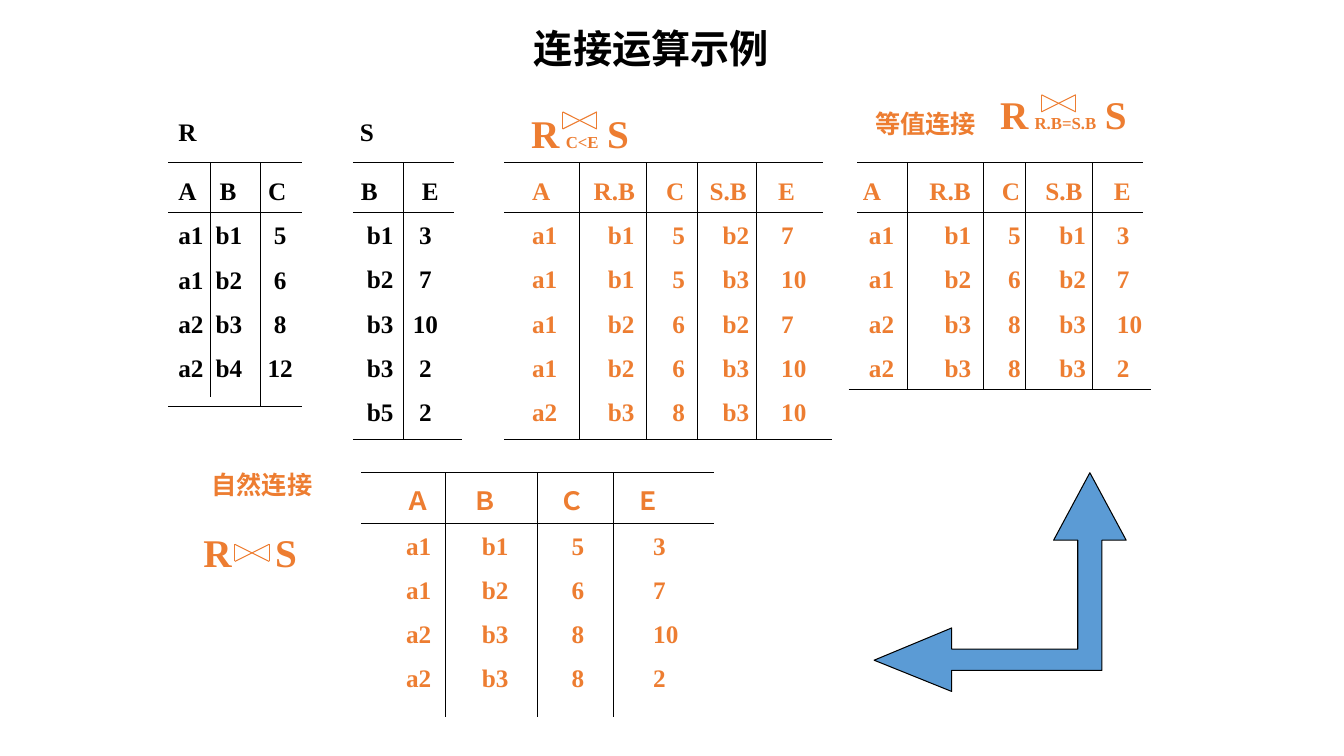
from dataclasses import dataclass

from lxml.etree import SubElement
from pptx import Presentation
from pptx.dml.color import RGBColor as Rgb
from pptx.enum.shapes import MSO_CONNECTOR as Connector
from pptx.enum.text import PP_ALIGN as Align
from pptx.oxml.ns import qn
from pptx.util import Inches, Pt


@dataclass(frozen=True)
class Theme:
    font: str = "Times New Roman"
    black: str = "000000"
    orange: str = "ED7D31"
    blue: str = "5B9BD5"
    title: int = 28
    body: int = 18
    subscript: int = 12
    gap: int = 24
    rule: float = 0.75
    row_space: int = 10


THEME = Theme()

# Content: texts as (words, left, top, width, height, size, colour, alignment)
LABELS = [
    ("连接运算示例", 1.92, 0.19, 9.08, 0.57, THEME.title, THEME.black, Align.CENTER),
    ("R", 1.67, 1.11, 0.58, 0.4, THEME.body, THEME.black, Align.LEFT),
    ("S", 3.47, 1.11, 0.33, 0.4, THEME.body, THEME.black, Align.LEFT),
    ("等值连接", 8.58, 1.03, 2.08, 0.4, THEME.body, THEME.orange, Align.LEFT),
    ("自然连接", 2, 4.61, 1.33, 0.4, THEME.body, THEME.orange, Align.LEFT),
]

# Formulas: (condition, left, top, width, wrap, bowtie left, bowtie top)
FORMULAS = [
    ("C<E", 5.17, 1.04, 2.42, True, 5.58, 1.11),
    ("R.B=S.B", 9.82, 0.85, 1.46, False, 10.33, 0.94),
    ("", 1.92, 5.19, 1.14, False, 2.33, 5.4),
]
FORMULA_HEIGHT, FORMULA_TAB = 0.57, 0.71
BOWTIE_WIDTH, BOWTIE_HEIGHT = 0.34, 0.17

# Relations: head and foot rules and dividers are in grid columns, a divider
# being (column, bottom); box is (left, width, height); header_x and body_x are
# the text starts in inches, or the centre of the last column where tail is "ctr".
GRID = 12  # grid columns per inch
RELATIONS = [
    dict(colour=THEME.black, top=1.61, bottom=4.03, head=(20, 36), foot=(20, 36),
         dividers=[(25, 3.94), (31, 4.03)], box=(1.67, 1.48, 2.21), tail="ctr",
         header_x=(1.77, 2.18, 2.75), body_x=(1.77, 2.14, 2.78),
         rows=["A B C", "a1 b1 5", "a1 b2 6", "a2 b3 8", "a2 b4 12"]),
    dict(colour=THEME.black, top=1.61, bottom=4.36, head=(42, 54), foot=(42, 55),
         dividers=[(48, 4.36)], box=(3.48, 1.08, 2.66), tail="ctr",
         header_x=(3.58, 4.27), body_x=(3.64, 4.22),
         rows=["B E", "b1 3", "b2 7", "b3 10", "b3 2", "b5 2"]),
    dict(colour=THEME.orange, top=1.61, bottom=4.36, head=(60, 98), foot=(60, 99),
         dividers=[(x, 4.36) for x in (69, 77, 83, 90)], box=(5, 3.33, 2.66), tail="l",
         header_x=(5.28, 5.89, 6.61, 7.04, 7.72), body_x=(5.28, 6.03, 6.67, 7.17, 7.75),
         rows=["A R.B C S.B E", "a1 b1 5 b2 7", "a1 b1 5 b3 10",
               "a1 b2 6 b2 7", "a1 b2 6 b3 10", "a2 b3 8 b3 10"]),
    dict(colour=THEME.orange, top=1.61, bottom=3.86, head=(102, 136), foot=(101, 137),
         dividers=[(x, 3.86) for x in (108, 117, 122, 130)], box=(8.33, 3.33, 2.66), tail="l",
         header_x=(8.56, 9.22, 9.94, 10.37, 11.05), body_x=(8.62, 9.37, 10, 10.51, 11.08),
         rows=["A R.B C S.B E", "a1 b1 5 b1 3", "a1 b2 6 b2 7",
               "a2 b3 8 b3 10", "a2 b3 8 b3 2"]),
    dict(colour=THEME.orange, top=4.69, bottom=7.11, head=(43, 85), foot=None,
         dividers=[(x, 7.11) for x in (53, 64, 73)], box=(3.75, 3.92, 2.21), tail="l",
         header_x=(4.02, 4.69, 5.55, 6.3), body_x=(4.03, 4.78, 5.67, 6.48),
         rows=["Ａ Ｂ Ｃ Ｅ", "a1 b1 5 3", "a1 b2 6 7", "a2 b3 8 10", "a2 b3 8 2"]),
]
HEADER_HEIGHT, TEXT_DROP, INSET = 0.5, 0.08, 0.1

# Two-headed elbow arrow
ARROW = [(10.81, 4.69), (10.45, 5.36), (10.69, 5.36), (10.69, 6.44), (9.44, 6.44),
         (9.44, 6.23), (8.67, 6.55), (9.44, 6.86), (9.44, 6.65), (10.93, 6.65),
         (10.93, 5.36), (11.17, 5.36)]


def style(font, size, colour):
    font.name, font.size, font.bold = THEME.font, Pt(size), True
    font.color.rgb = Rgb.from_string(colour)


def add_box(page, left, top, width, height, wrap=True):
    box = page.shapes.add_textbox(Inches(left), Inches(top), Inches(width), Inches(height))
    box.text_frame.word_wrap = wrap
    return box.text_frame


def add_tabs(para, stops):
    tabs = SubElement(para._p.get_or_add_pPr(), qn("a:tabLst"))
    for position, align in stops:
        SubElement(tabs, qn("a:tab"), pos=str(Inches(position)), algn=align)


def add_rule(shapes, ends, colour):
    line = shapes.add_connector(Connector.STRAIGHT, *map(Inches, ends))
    line.line.color.rgb = Rgb.from_string(colour)
    line.line.width = Pt(THEME.rule)
    SubElement(line._element.spPr, qn("a:effectLst"))


def add_label(page, words, left, top, width, height, size, colour, align):
    frame = add_box(page, left, top, width, height)
    frame.text = words
    para = frame.paragraphs[0]
    para.alignment = align
    style(para.runs[0].font, size, colour)


def add_bowtie(page, left, top):
    group = page.shapes.add_group_shape()
    right, bottom = left + BOWTIE_WIDTH, top + BOWTIE_HEIGHT
    for ends in [(left, top, left, bottom), (right, top, right, bottom),
                 (left, top, right, bottom), (left, bottom, right, top)]:
        add_rule(group.shapes, ends, THEME.orange)


def add_formula(page, condition, left, top, width, wrap, tie_left, tie_top):
    para = add_box(page, left, top, width, FORMULA_HEIGHT, wrap).paragraphs[0]
    if condition:
        middle = [(" ", THEME.body), (condition, THEME.subscript), (" ", THEME.gap)]
    else:
        middle = [("\t", THEME.body)]
        add_tabs(para, [(FORMULA_TAB, "l")])
    for words, size in [("R", THEME.title), *middle, ("S", THEME.title)]:
        span = para.add_run()
        span.text = words
        style(span.font, size, THEME.orange)
    add_bowtie(page, tie_left, tie_top)


def add_relation(page, colour, top, bottom, head, foot, dividers, box, tail,
                 header_x, body_x, rows):
    # Rules
    rules = [(head, top), (head, top + HEADER_HEIGHT)] + ([(foot, bottom)] if foot else [])
    for (start, end), y in rules:
        add_rule(page.shapes, (start / GRID, y, end / GRID, y), THEME.black)
    for column, end in dividers:
        add_rule(page.shapes, (column / GRID, top, column / GRID, end), THEME.black)
    # Rows of values on tab stops
    left, width, height = box
    origin = left + INSET
    frame = add_box(page, left, top + TEXT_DROP, width, height)
    for index, row in enumerate(rows):
        para = frame.add_paragraph() if index else frame.paragraphs[0]
        starts = body_x if index else header_x
        indented = starts[0] - origin > 0.01
        para.text = ("\t" if indented else "") + "\t".join(row.split(" "))
        if index:
            para.space_before = Pt(THEME.row_space)
        stops = [(x - origin, "l") for x in starts[:-1]] + [(starts[-1] - origin, tail)]
        add_tabs(para, stops if indented else stops[1:])
        for span in para.runs:
            style(span.font, THEME.body, colour)


def add_arrow(page):
    points = [(Inches(x), Inches(y)) for x, y in ARROW]
    builder = page.shapes.build_freeform(*points[0])
    builder.add_line_segments(points[1:], close=True)
    arrow = builder.convert_to_shape()
    arrow.shadow.inherit = False
    arrow.fill.solid()
    arrow.fill.fore_color.rgb = Rgb.from_string(THEME.blue)
    arrow.line.color.rgb = Rgb.from_string(THEME.black)
    arrow.line.width = Pt(THEME.rule)


def main():
    deck = Presentation()
    deck.slide_width, deck.slide_height = Inches(13.33), Inches(7.5)
    page = deck.slides.add_slide(deck.slide_layouts[6])
    for label in LABELS:
        add_label(page, *label)
    for relation in RELATIONS:
        add_relation(page, **relation)
    for formula in FORMULAS:
        add_formula(page, *formula)
    add_arrow(page)
    deck.save("out.pptx")


if __name__ == "__main__":
    main()
